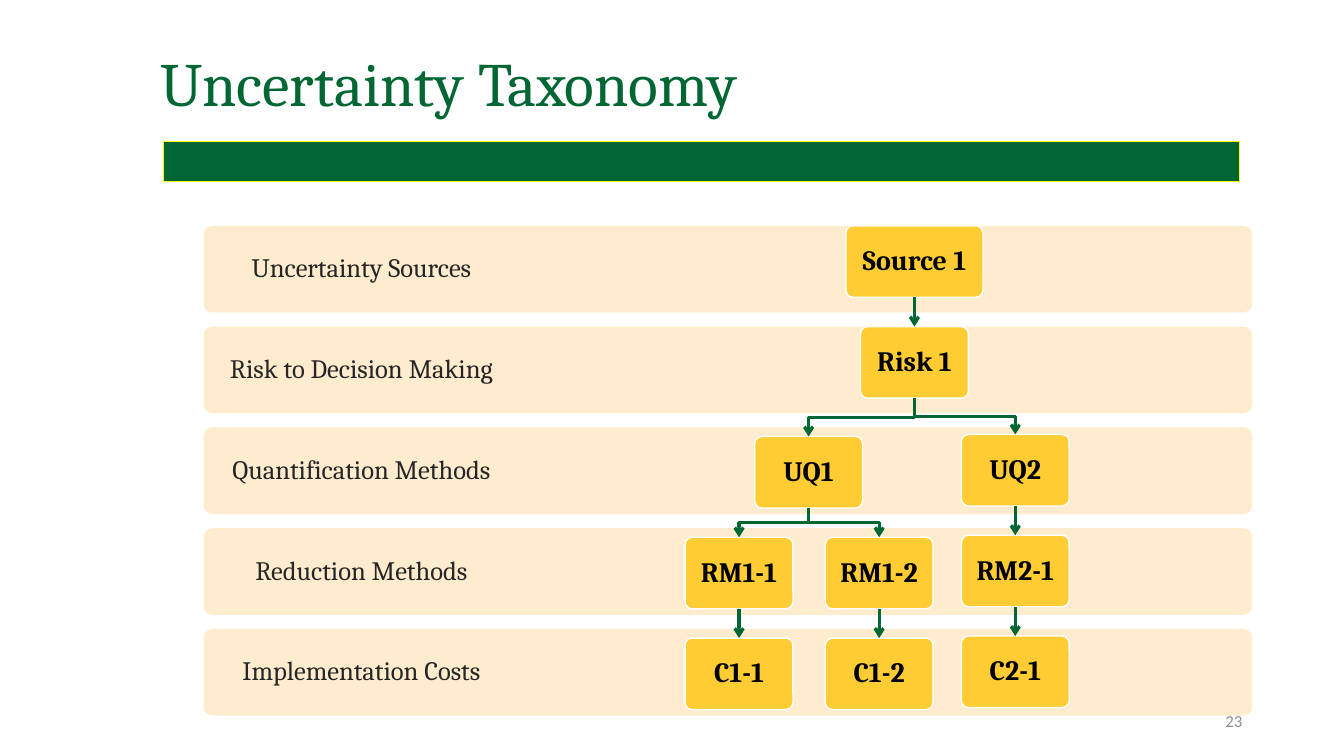
from pptx import Presentation
from pptx.dml.color import RGBColor
from pptx.enum.shapes import MSO_CONNECTOR, MSO_SHAPE
from pptx.enum.text import MSO_ANCHOR, PP_ALIGN
from pptx.oxml.ns import qn
from pptx.util import Inches, Pt
from lxml.etree import SubElement

# Content
TITLE = "Uncertainty Taxonomy"
PAGE = "23"
LEVELS = ["Uncertainty Sources", "Risk to Decision Making",
          "Quantification Methods", "Reduction Methods",
          "Implementation Costs"]
# name: (level, centre x, drop below the band top, width)
NODES = {
    "Source 1": (0, 9.07, 0, 1.36),
    "Risk 1": (1, 9.07, 0, 1.07),
    "UQ1": (2, 8.02, 0.09, 1.07),
    "UQ2": (2, 10.07, 0.07, 1.07),
    "RM1-1": (3, 7.33, 0.09, 1.07),
    "RM1-2": (3, 8.72, 0.09, 1.07),
    "RM2-1": (3, 10.07, 0.07, 1.07),
    "C1-1": (4, 7.33, 0.09, 1.07),
    "C1-2": (4, 8.72, 0.09, 1.07),
    "C2-1": (4, 10.07, 0.07, 1.07),
}
LINKS = [("Source 1", "Risk 1"), ("Risk 1", "UQ1"), ("Risk 1", "UQ2"),
         ("UQ1", "RM1-1"), ("UQ1", "RM1-2"), ("UQ2", "RM2-1"),
         ("RM1-1", "C1-1"), ("RM1-2", "C1-2"), ("RM2-1", "C2-1")]

# Format
GREEN, GOLD, CREAM = "006633", "FFCC33", "FFECCE"
HEAD = {"name": "Cambria", "size": Pt(44)}
LABEL = {"name": "Cambria", "size": Pt(19)}
NODE = {"name": "Cambria", "size": Pt(20), "bold": True}
FOOT = {"name": "Calibri", "size": Pt(12)}
TOP, STEP, BAND, TALL = 2.24, 1.0, 0.86, 0.71

deck = Presentation()
deck.slide_width, deck.slide_height = Inches(13.33), Inches(7.5)
slide = deck.slides.add_slide(deck.slide_layouts[6])
shapes = slide.shapes


def paint(part, tint):
    part.rgb = RGBColor.from_string(tint)


def write(shape, text, look, tint, align, anchor=MSO_ANCHOR.MIDDLE,
          pad=(0.1, 0.05, 0.1, 0.05), lead=0.9):
    frame = shape.text_frame
    frame.word_wrap, frame.vertical_anchor = True, anchor
    for side, gap in zip(("left", "top", "right", "bottom"), pad):
        setattr(frame, "margin_" + side, Inches(gap))
    para = frame.paragraphs[0]
    para.text, para.alignment, para.line_spacing = text, align, lead
    for key, value in look.items():
        setattr(para.font, key, value)
    paint(para.font.color, tint)


def block(kind, x, y, w, h, fill, edge=None, width=1):
    shape = shapes.add_shape(kind, *map(Inches, (x, y, w, h)))
    shape.shadow.inherit = False
    shape.fill.solid()
    paint(shape.fill.fore_color, fill)
    if edge:
        paint(shape.line.color, edge)
        shape.line.width = Pt(width)
    else:
        shape.line.fill.background()
    return shape


def label(x, y, w, h, *args, **more):
    write(shapes.add_textbox(*map(Inches, (x, y, w, h))), *args, **more)


def link(start, end):
    x1, x2 = (NODES[name][1] for name in (start, end))
    top, low = boxes[start], boxes[end]
    y1, y2 = top.top + top.height, low.top
    if x1 == x2:
        line = shapes.add_connector(MSO_CONNECTOR.STRAIGHT,
                                    Inches(x1), y1, Inches(x2), y2)
        line.begin_connect(top, 2)
        line.end_connect(low, 0)
        SubElement(line._element.spPr, qn("a:effectLst"))
    else:
        mid = (y1 + y2) // 2
        path = shapes.build_freeform(Inches(x1), y1)
        path.add_line_segments([(Inches(x1), mid), (Inches(x2), mid),
                                (Inches(x2), y2)], close=False)
        line = path.convert_to_shape()
        line.shadow.inherit = False
        line.fill.background()
    paint(line.line.color, GREEN)
    line.line.width = Pt(2.25)
    SubElement(line.line._get_or_add_ln(), qn("a:tailEnd"), type="arrow")


# Title and rule
block(MSO_SHAPE.RECTANGLE, 1.62, 1.4, 10.67, 0.4, GREEN, "FFFF00", 0.75)
label(1.49, 0.29, 10.92, 0.95, TITLE, HEAD, GREEN, PP_ALIGN.LEFT,
      anchor=MSO_ANCHOR.BOTTOM)

# Level bands
for row, name in enumerate(LEVELS):
    band = block(MSO_SHAPE.ROUNDED_RECTANGLE, 2.02, TOP + row * STEP,
                 10.4, BAND, CREAM)
    band.adjustments[0] = 0.1
    write(band, name, LABEL, "262626", PP_ALIGN.CENTER,
          pad=(0.15, 0.15, 7.42, 0.15))

# Tree nodes
boxes = {}
for name, (row, x, drop, wide) in NODES.items():
    box = block(MSO_SHAPE.ROUNDED_RECTANGLE, x - wide / 2,
                TOP + row * STEP + drop, wide, TALL, GOLD, "FFFFFF")
    box.adjustments[0] = 0.1
    write(box, name, NODE, "000000", PP_ALIGN.CENTER, pad=(0.08,) * 4)
    boxes[name] = box

# Tree arrows
for pair in LINKS:
    link(*pair)

# Page number
label(9.42, 6.95, 3, 0.4, PAGE, FOOT, "8E8E8E", PP_ALIGN.RIGHT, lead=1.0)

deck.save("out.pptx")
